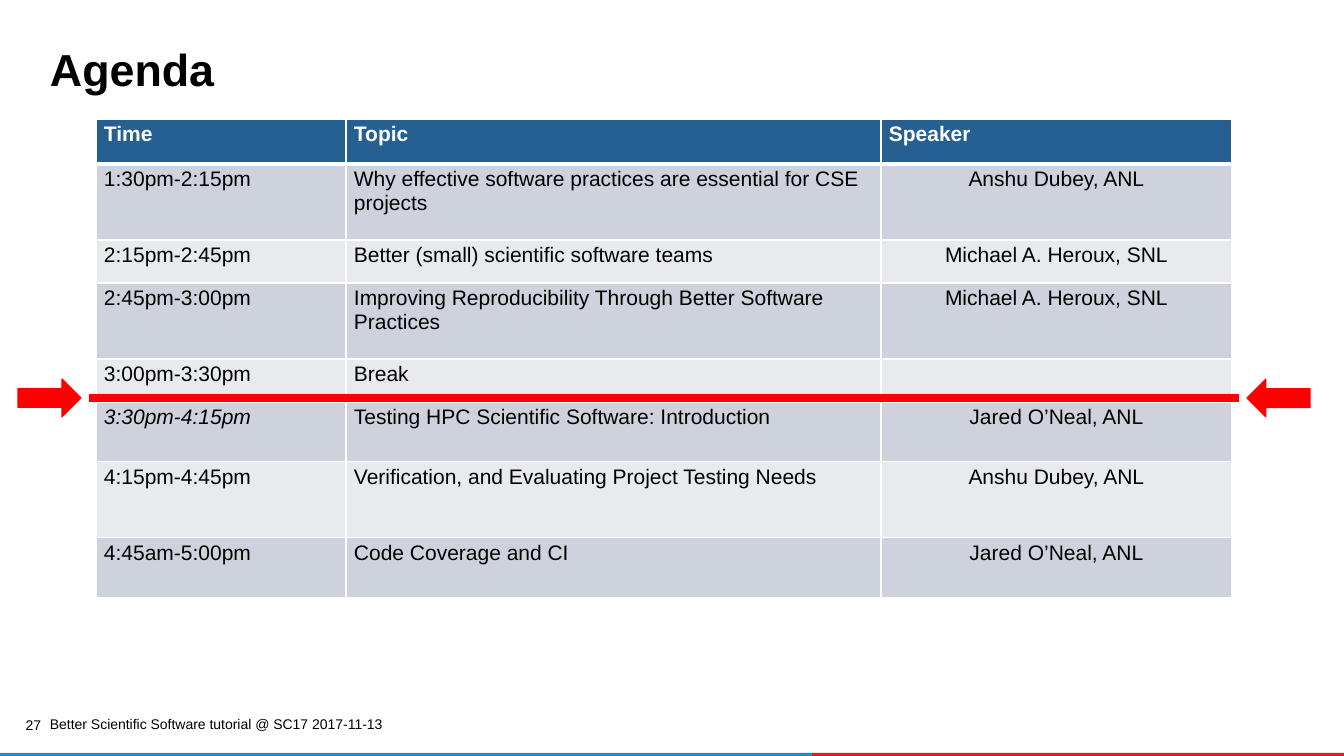
import pptx
import pptx.dml.color
import pptx.enum.shapes
import pptx.enum.text
import pptx.oxml
import pptx.oxml.ns
import pptx.util

ALIGN = pptx.enum.text.PP_ALIGN
ANCHOR = pptx.enum.text.MSO_ANCHOR
SHAPE = pptx.enum.shapes.MSO_SHAPE
EMU_PER_PX = 12192000 / 1344

COLUMNS = [250, 535, 351]
AGENDA = [
    (45, "Time", "Topic", "Speaker"),
    (76, "1:30pm-2:15pm", "Why effective software practices are essential for CSE projects", "Anshu Dubey, ANL"),
    (43, "2:15pm-2:45pm", "Better (small) scientific software teams", "Michael A. Heroux, SNL"),
    (76, "2:45pm-3:00pm", "Improving Reproducibility Through Better Software Practices", "Michael A. Heroux, SNL"),
    (43, "3:00pm-3:30pm", "Break", ""),
    (60, "3:30pm-4:15pm", "Testing HPC Scientific Software: Introduction", "Jared O’Neal, ANL"),
    (76, "4:15pm-4:45pm", "Verification, and Evaluating Project Testing Needs", "Anshu Dubey, ANL"),
    (60, "4:45am-5:00pm", "Code Coverage and CI", "Jared O’Neal, ANL"),
]
NEXT_SESSION = 5


def px(length):
    """Turn pixels into EMU."""
    return pptx.util.Emu(round(length * EMU_PER_PX))


def rgb(value):
    """Turn a hex string into a colour."""
    return pptx.dml.color.RGBColor.from_string(value)


def write(frame, text, size=15, color="000000", bold=False, italic=False,
          align=ALIGN.LEFT, spacing=None):
    """Write one formatted paragraph into a text frame."""
    paragraph = frame.paragraphs[0]
    paragraph.alignment = align
    paragraph.line_spacing = spacing
    paragraph.font.size = pptx.util.Pt(size)
    if not text:
        return
    run = paragraph.add_run()
    run.text = text
    run.font.name = "Arial"
    run.font.size = pptx.util.Pt(size)
    run.font.color.rgb = rgb(color)
    run.font.bold = bold
    run.font.italic = italic


def add_label(slide, box, text, inset=None, anchor=ANCHOR.TOP, **style):
    """Place a wrapped text box."""
    frame = slide.shapes.add_textbox(*map(px, box)).text_frame
    frame.word_wrap = True
    frame.vertical_anchor = anchor
    if inset is not None:
        frame.margin_left = frame.margin_right = px(inset)
        frame.margin_top = frame.margin_bottom = px(inset)
    write(frame, text, **style)


def add_solid(slide, preset, box, color, outlined=False):
    """Place a flat preset shape."""
    solid = slide.shapes.add_shape(preset, *map(px, box))
    solid.shadow.inherit = False
    solid.fill.solid()
    solid.fill.fore_color.rgb = rgb(color)
    if outlined:
        solid.line.color.rgb = rgb(color)
        solid.line.width = pptx.util.Pt(0.75)
    else:
        solid.line.fill.background()
    return solid


def set_borders(cell, top, bottom):
    """Give a cell white borders, with top and bottom widths in points."""
    properties = cell._tc.get_or_add_tcPr()
    sides = [("lnL", 1), ("lnR", 1), ("lnT", top), ("lnB", bottom)]
    for index, (side, width) in enumerate(sides):
        properties.insert(index, pptx.oxml.parse_xml(
            f'<a:{side} {pptx.oxml.ns.nsdecls("a")} w="{pptx.util.Pt(width)}">'
            f'<a:solidFill><a:srgbClr val="FFFFFF"/></a:solidFill></a:{side}>'))


def add_agenda(slide, box):
    """Fill the box with the timetable."""
    table = slide.shapes.add_table(len(AGENDA), len(COLUMNS), *map(px, box)).table
    for column, width in zip(table.columns, COLUMNS):
        column.width = px(width)
    for row, (height, *entries) in enumerate(AGENDA):
        header = row == 0
        table.rows[row].height = px(height)
        band = "266092" if header else "CDD2DC" if row % 2 else "E8EAEE"
        for column, entry in enumerate(entries):
            cell = table.cell(row, column)
            cell.margin_left = cell.margin_right = px(8)
            cell.margin_top = cell.margin_bottom = px(4)
            cell.fill.solid()
            cell.fill.fore_color.rgb = rgb(band)
            set_borders(cell, top=3 if row == 1 else 1, bottom=3 if header else 1)
            write(cell.text_frame, entry, bold=header,
                  color="FFFFFF" if header else "000000",
                  italic=row == NEXT_SESSION and column == 0,
                  align=ALIGN.CENTER if column == 2 and not header else ALIGN.LEFT)


def add_progress_marker(slide, box):
    """Draw the red line across the box with an arrow at each end."""
    left, top, width, height = box
    arrow_width, gap = 63, 8
    middle = top + height / 2
    margin = arrow_width + gap
    divider = slide.shapes.add_connector(
        pptx.enum.shapes.MSO_CONNECTOR.STRAIGHT,
        px(left + margin), px(middle), px(left + width - margin), px(middle))
    divider.line.color.rgb = rgb("FF0000")
    divider.line.width = pptx.util.Pt(6)
    divider._element.spPr.append(pptx.oxml.parse_xml(
        f'<a:effectLst {pptx.oxml.ns.nsdecls("a")}/>'))
    for arrow_left, rotation in [(left, 0), (left + width - arrow_width, 180)]:
        arrow = add_solid(slide, SHAPE.RIGHT_ARROW,
                          (arrow_left, top, arrow_width, height), "FF0000", outlined=True)
        arrow.rotation = rotation


def add_footer(slide, box):
    """Place the event, page number and two-colour strip in the box."""
    left, top, width, height = box
    strip, blue_width = 3, 812
    strip_top = top + height - strip
    add_solid(slide, SHAPE.RECTANGLE,
              (left + blue_width, strip_top, width - blue_width, strip), "DA1F28")
    add_solid(slide, SHAPE.RECTANGLE, (left, strip_top, blue_width, strip), "1B8DC3")
    add_label(slide, (left + 40, top, 366, 20),
              "Better Scientific Software tutorial @ SC17 2017-11-13",
              size=10, anchor=ANCHOR.MIDDLE)
    add_label(slide, (left + 18, top + 4, 23, 17), "27", inset=0,
              size=10, align=ALIGN.RIGHT, spacing=0.9)


def build_agenda_slide(deck):
    """Add the agenda slide to the deck."""
    slide = deck.slides.add_slide(deck.slide_layouts[6])
    add_footer(slide, (0, 714, 1344, 42))
    add_label(slide, (40, 45, 1254, 56), "Agenda", size=32, bold=True, spacing=0.85)
    add_agenda(slide, (96, 119, sum(COLUMNS), sum(row[0] for row in AGENDA)))
    add_progress_marker(slide, (18, 379, 1292, 38))


def main():
    """Build and save the deck."""
    deck = pptx.Presentation()
    deck.slide_width, deck.slide_height = px(1344), px(756)
    build_agenda_slide(deck)
    deck.save("out.pptx")


if __name__ == "__main__":
    main()
